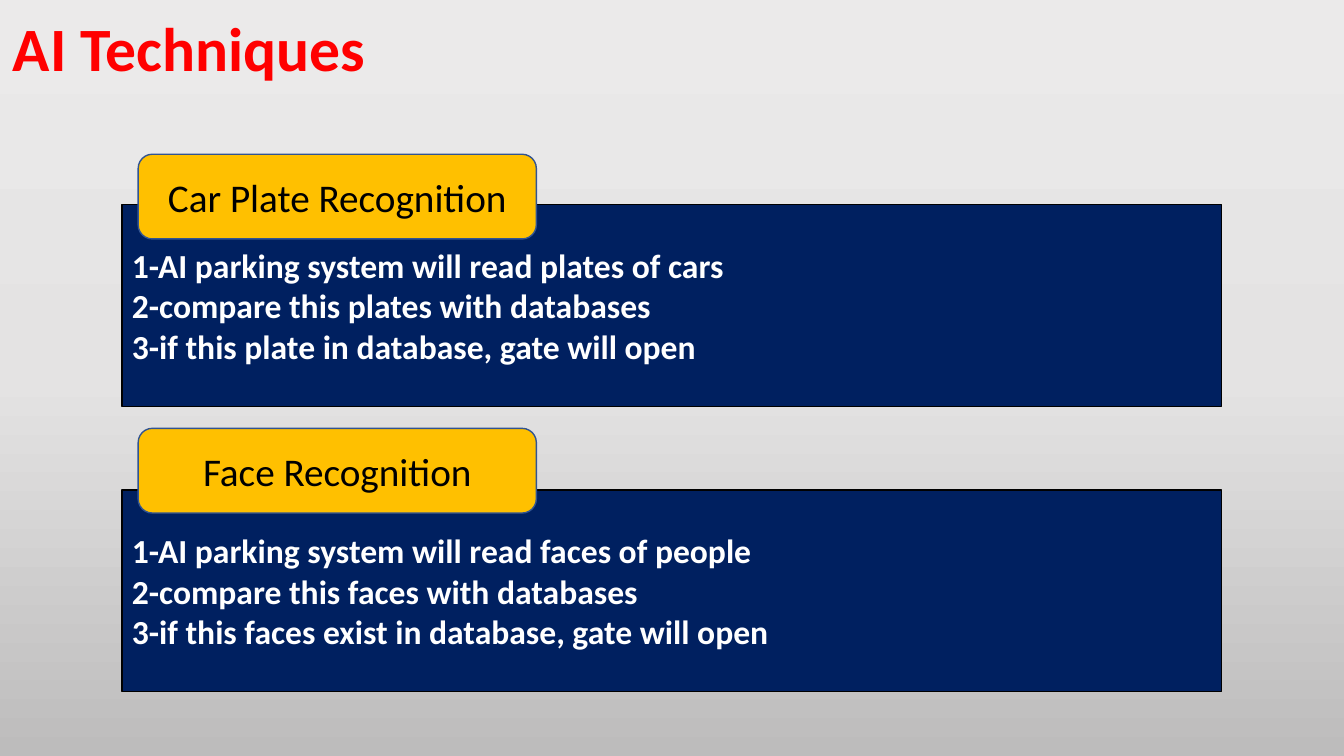
from copy import deepcopy
from dataclasses import dataclass

from pptx import Presentation
from pptx.dml.color import RGBColor
from pptx.enum.shapes import MSO_SHAPE
from pptx.enum.text import MSO_ANCHOR, MSO_AUTO_SIZE, PP_ALIGN
from pptx.oxml.ns import qn
from pptx.shapes.autoshape import Shape
from pptx.slide import Slide
from pptx.text.text import TextFrame
from pptx.util import Pt

FONT = "Calibri"
BACKGROUND_STOPS = [(0, "EBEAEA"), (0.5, "E4E3E3"), (1, "BDBCBC")]


@dataclass
class Technique:
    name: str
    steps: list[str]
    label_top: float
    panel_top: float


@dataclass
class BoxStyle:
    preset: MSO_SHAPE
    left: float
    width: float
    height: float
    fill: str
    line: str
    size: float
    color: str
    bold: bool
    alignment: PP_ALIGN


PANEL = BoxStyle(MSO_SHAPE.RECTANGLE, 87.1, 785.5, 144, "002060", "000000",
                 24, "FFFFFF", True, PP_ALIGN.LEFT)
LABEL = BoxStyle(MSO_SHAPE.ROUNDED_RECTANGLE, 98.7, 284.4, 60.5, "FFC000", "325491",
                 28, "000000", False, PP_ALIGN.CENTER)

TECHNIQUES = [
    Technique("Car Plate Recognition", [
        "1-AI parking system will read plates of cars",
        "2-compare this plates with databases",
        "3-if this plate in database, gate will open",
    ], 110.2, 146.2),
    Technique("Face Recognition", [
        "1-AI parking system will read faces of people",
        "2-compare this faces with databases",
        "3-if this faces exist in database, gate will open",
    ], 306, 349.9),
]


def rgb(color: str) -> RGBColor:
    return RGBColor.from_string(color)


def write(text_frame: TextFrame, text: str, size: float, color: str, bold: bool,
          alignment: PP_ALIGN) -> None:
    text_frame.text = text
    for paragraph in text_frame.paragraphs:
        paragraph.alignment = alignment
        for run in paragraph.runs:
            run.font.name = FONT
            run.font.size = Pt(size)
            run.font.bold = bold
            run.font.color.rgb = rgb(color)


def paint_background(slide: Slide) -> None:
    fill = slide.background.fill
    fill.gradient()
    fill.gradient_angle = 270
    stop_list = slide.element.find(".//" + qn("a:gsLst"))
    stop_list.append(deepcopy(stop_list[0]))
    for stop, (position, color) in zip(fill.gradient_stops, BACKGROUND_STOPS):
        stop.position = position
        stop.color.rgb = rgb(color)


def add_title(slide: Slide, text: str) -> None:
    title = slide.shapes.add_textbox(Pt(2.2), Pt(3.6), Pt(268.6), Pt(60.5))
    title.text_frame.word_wrap = False
    title.text_frame.auto_size = MSO_AUTO_SIZE.SHAPE_TO_FIT_TEXT
    write(title.text_frame, text, 44, "FF0000", True, PP_ALIGN.LEFT)


def add_box(slide: Slide, style: BoxStyle, top: float, text: str) -> Shape:
    shape = slide.shapes.add_shape(style.preset, Pt(style.left), Pt(top),
                                   Pt(style.width), Pt(style.height))
    shape.shadow.inherit = False
    shape.fill.solid()
    shape.fill.fore_color.rgb = rgb(style.fill)
    shape.line.color.rgb = rgb(style.line)
    shape.line.width = Pt(1)
    shape.text_frame.word_wrap = True
    shape.text_frame.vertical_anchor = MSO_ANCHOR.MIDDLE
    write(shape.text_frame, text, style.size, style.color, style.bold, style.alignment)
    return shape


def main() -> None:
    presentation = Presentation()
    presentation.slide_width = Pt(960)
    presentation.slide_height = Pt(540)
    slide = presentation.slides.add_slide(presentation.slide_layouts[6])
    paint_background(slide)
    add_title(slide, "AI Techniques")
    for technique in TECHNIQUES:
        add_box(slide, PANEL, technique.panel_top, "\n".join(technique.steps))
        add_box(slide, LABEL, technique.label_top, technique.name)
    presentation.save("out.pptx")


if __name__ == "__main__":
    main()
